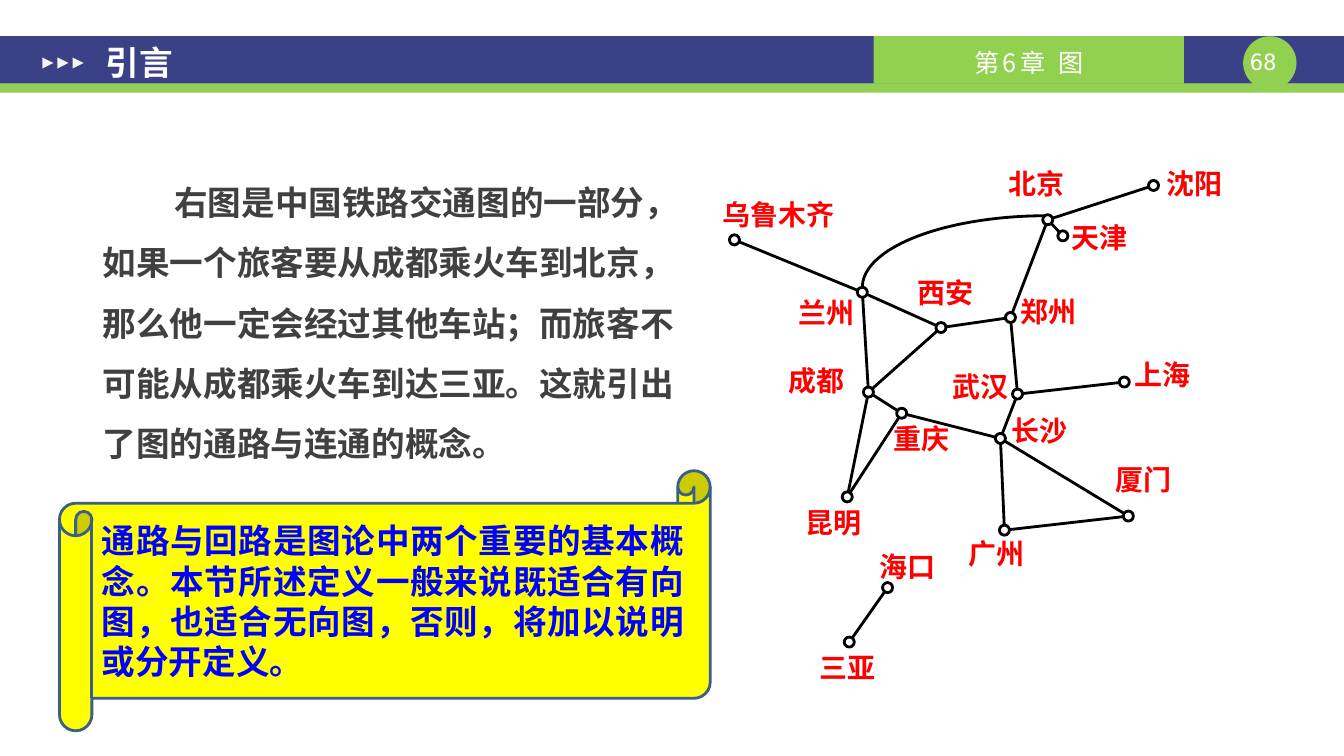
import math

from lxml import etree
from pptx import Presentation
from pptx.dml.color import RGBColor
from pptx.enum.shapes import MSO_CONNECTOR, MSO_SHAPE
from pptx.enum.text import MSO_ANCHOR, MSO_AUTO_SIZE, PP_ALIGN
from pptx.oxml.ns import qn
from pptx.util import Inches, Pt

RECT, OVAL, TRIANGLE = MSO_SHAPE.RECTANGLE, MSO_SHAPE.OVAL, MSO_SHAPE.ISOSCELES_TRIANGLE
SCROLL, STRAIGHT = MSO_SHAPE.HORIZONTAL_SCROLL, MSO_CONNECTOR.STRAIGHT
TOP, MIDDLE = MSO_ANCHOR.TOP, MSO_ANCHOR.MIDDLE
LEFT, CENTER, JUSTIFY = PP_ALIGN.LEFT, PP_ALIGN.CENTER, PP_ALIGN.JUSTIFY

WIDTH, HEIGHT = 13.34, 7.5
COLORS = {"navy": "3A4187", "green": "92D050", "white": "FFFFFF", "mark": "F2F2F2",
          "body": "404040", "line": "000000", "label": "FF0000", "scroll": "FFFF00",
          "scroll_line": "3A5F8C", "note": "0000FF"}
PAD = (0.13, 0.07, 0.13, 0.07)
DOT = 0.1

# station: centre x, centre y, label x, label y, in inches inside the map box
STATIONS = {
    "乌鲁木齐": (0.29, 0.88, 0.17, 0.46), "兰州": (1.56, 1.40, 0.93, 1.43),
    "西安": (2.34, 1.75, 2.11, 1.23), "郑州": (3.03, 1.65, 3.13, 1.42),
    "北京": (3.40, 0.68, 3.01, 0.15), "天津": (3.55, 0.84, 3.64, 0.69),
    "沈阳": (4.45, 0.34, 4.58, 0.15), "成都": (1.62, 2.39, 0.83, 2.11),
    "重庆": (1.95, 2.60, 1.87, 2.68), "昆明": (1.41, 3.43, 1.00, 3.51),
    "武汉": (3.10, 2.41, 2.45, 2.17), "上海": (4.16, 2.29, 4.26, 2.05),
    "长沙": (2.93, 2.85, 3.04, 2.60), "广州": (2.97, 3.76, 2.61, 3.82),
    "厦门": (4.20, 3.62, 4.07, 3.09), "海口": (1.81, 4.33, 1.73, 3.95),
    "三亚": (1.43, 4.87, 1.13, 4.95),
}
RAILWAYS = [
    ("乌鲁木齐", "兰州"), ("兰州", "西安"), ("兰州", "成都"), ("西安", "成都"),
    ("西安", "郑州"), ("郑州", "北京"), ("北京", "天津"), ("北京", "沈阳"),
    ("郑州", "武汉"), ("武汉", "上海"), ("武汉", "长沙"), ("成都", "重庆"),
    ("成都", "昆明"), ("重庆", "昆明"), ("重庆", "长沙"), ("长沙", "广州"),
    ("长沙", "厦门"), ("广州", "厦门"), ("海口", "三亚"),
]


def rgb(name):
    """Return the named colour."""
    return RGBColor.from_string(COLORS[name])


def set_line(line, color):
    """Draw a two-point outline."""
    line.color.rgb = rgb(color)
    line.width = Pt(2)


def place(sp, box):
    """Move and size a shape to a box in inches."""
    for name, value in zip(("left", "top", "width", "height"), box):
        setattr(sp, name, Inches(value))


def add_shape(s, kind, box, fill, line=None):
    """Add a flat preset shape."""
    sp = s.shapes.add_shape(kind, *map(Inches, box))
    sp.shadow.inherit = False
    sp.fill.solid()
    sp.fill.fore_color.rgb = rgb(fill)
    if line:
        set_line(sp.line, line)
    else:
        sp.line.fill.background()
    return sp


def write(sp, text, size, color, bold=True, align=LEFT, anchor=TOP,
          insets=(0, 0, 0, 0), font="Arial", indent=0):
    """Write one formatted paragraph into a shape and return it."""
    tf = sp.text_frame
    tf.word_wrap, tf.auto_size, tf.vertical_anchor = True, MSO_AUTO_SIZE.NONE, anchor
    for side, value in zip(("left", "top", "right", "bottom"), insets):
        setattr(tf, f"margin_{side}", Inches(value))
    p = tf.paragraphs[0]
    p.alignment, p.space_before = align, Pt(0)
    pPr = p._p.get_or_add_pPr()
    pPr.set("marL", "0")
    pPr.set("indent", str(Inches(indent)))
    etree.SubElement(pPr, qn("a:buNone"))
    r = p.add_run()
    r.text = text
    values = {"size": Pt(size), "bold": bold, "name": font}
    for name, value in values.items():
        setattr(r.font, name, value)
    r.font.color.rgb = rgb(color)
    return p


def add_header(s, box, title, chapter, number):
    """Build the title band with its marks, chapter tab and page number."""
    x, y, w, h = box
    band = 0.47
    add_shape(s, RECT, (x, y, w, band), "navy")
    add_shape(s, RECT, (x, y + band, w, h - band), "green")
    badge = (x + 0.925 * w, y, 0.53, 0.53)
    add_shape(s, OVAL, badge, "green")
    page = s.shapes.add_textbox(*map(Inches, (badge[0], y + 0.12, 0.4, 0.27)))
    write(page, number, 16, "white", False, CENTER, font="DejaVu Sans Mono")

    tab = add_shape(s, RECT, (x + 0.65 * w, y, 3.08, band), "green")
    p = write(tab, chapter, 18, "white", False, CENTER, MIDDLE,
              (0.1, 0.04, 0.1, 0), "Noto Sans CJK SC")
    p.runs[0]._r.get_or_add_rPr().set("spc", "250")
    for i in range(3):
        mark = add_shape(s, TRIANGLE, (x + 0.42 + 0.15 * i, y + 0.21, 0.11, 0.11), "mark")
        mark.rotation = 90

    sp = s.shapes.title
    place(sp, (x + 0.92, y - 0.18, 7.7, 0.87))
    write(sp, title, 24, "white", anchor=MIDDLE, insets=PAD)
    sp._element.getparent().append(sp._element)


def add_body(s, box, text):
    """Fill the body placeholder with an indented paragraph."""
    sp = s.placeholders[1]
    place(sp, box)
    p = write(sp, text, 24, "body", insets=PAD, indent=0.71)
    p.line_spacing = 1.5


def add_scroll(s, box, text):
    """Add the yellow scroll with the remark."""
    sp = add_shape(s, SCROLL, box, "scroll", "scroll_line")
    write(sp, text, 24, "note", align=JUSTIFY, anchor=MIDDLE, insets=(0.1, 0.05, 0.1, 0.05))


def add_curve(s, start, end):
    """Draw a quarter ellipse that rises from start and levels out at end."""
    rx, ry = end[0] - start[0], start[1] - end[1]
    angles = [math.pi / 2 * i / 40 for i in range(41)]
    points = [(Inches(end[0] - rx * math.cos(a)), Inches(start[1] - ry * math.sin(a)))
              for a in angles]
    builder = s.shapes.build_freeform(*points[0])
    builder.add_line_segments(points[1:], close=False)
    sp = builder.convert_to_shape()
    sp.shadow.inherit = False
    sp.fill.background()
    set_line(sp.line, "line")


def add_railway_map(s, box):
    """Draw the railways, then the stations and their names."""
    x, y = box[:2]
    for a, b in RAILWAYS:
        ends = [Inches(v) for name in (a, b)
                for v in (x + STATIONS[name][0], y + STATIONS[name][1])]
        line = s.shapes.add_connector(STRAIGHT, *ends)
        set_line(line.line, "line")
        etree.SubElement(line._element.spPr, qn("a:effectLst"))
    add_curve(s, (x + 1.56, y + 1.35), (x + 3.39, y + 0.64))
    for name, (cx, cy, lx, ly) in STATIONS.items():
        add_shape(s, OVAL, (x + cx - DOT / 2, y + cy - DOT / 2, DOT, DOT), "white", "line")
        size = (0.17 + 0.26 * len(name), 0.49)
        label = s.shapes.add_textbox(*map(Inches, (x + lx, y + ly, *size)))
        write(label, name, 20, "label", align=JUSTIFY)


def main():
    """Build and save the slide."""
    prs = Presentation()
    prs.slide_width, prs.slide_height = Inches(WIDTH), Inches(HEIGHT)
    s = prs.slides.add_slide(prs.slide_layouts[1])
    add_header(s, (0, 0.36, WIDTH, 0.56), "引言", "第6章 图", "68")
    add_body(s, (0.89, 1.53, 6.19, 3.72),
             "右图是中国铁路交通图的一部分，如果一个旅客要从成都乘火车到北京，"
             "那么他一定会经过其他车站；而旅客不可能从成都乘火车到达三亚。"
             "这就引出了图的通路与连通的概念。")
    add_railway_map(s, (7, 1.5, 5.5, 5.5))
    add_scroll(s, (0.59, 4.67, 6.46, 2.58),
               "通路与回路是图论中两个重要的基本概念。本节所述定义一般来说既适合有向图，"
               "也适合无向图，否则，将加以说明或分开定义。")
    prs.save("out.pptx")


if __name__ == "__main__":
    main()
